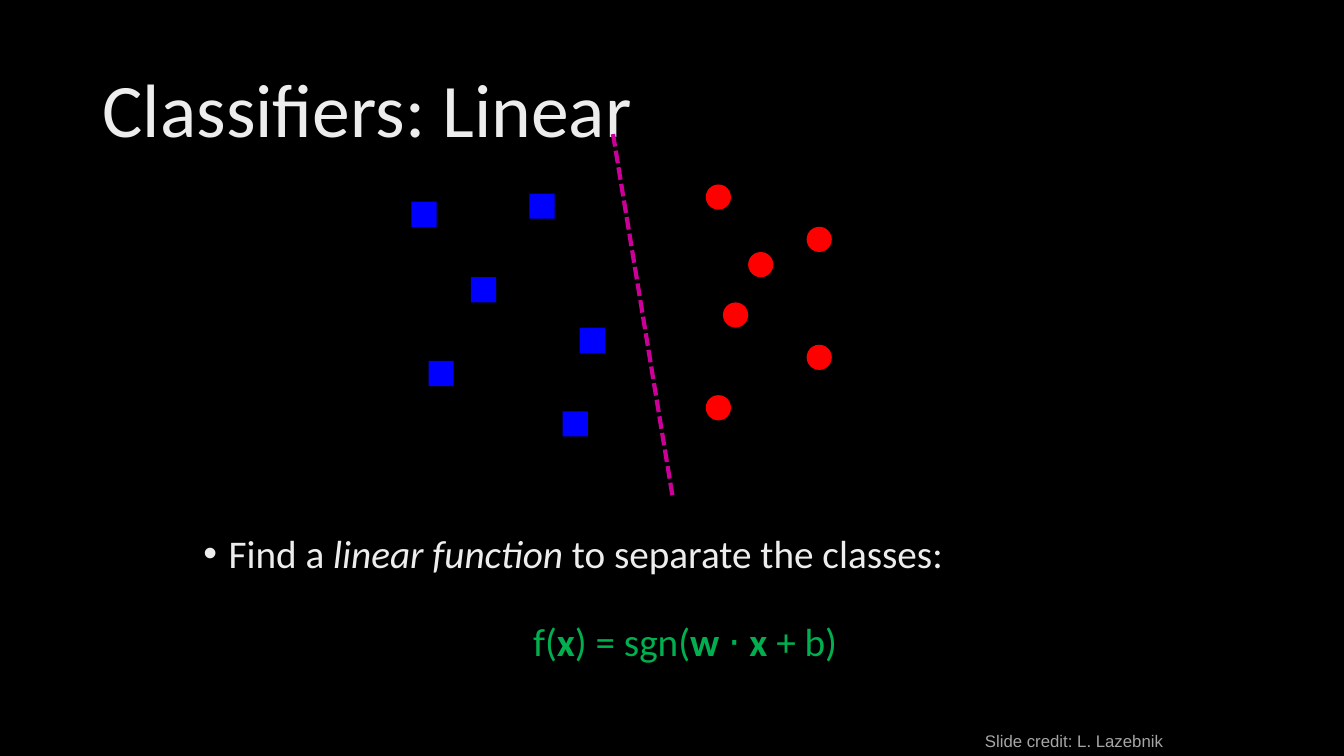
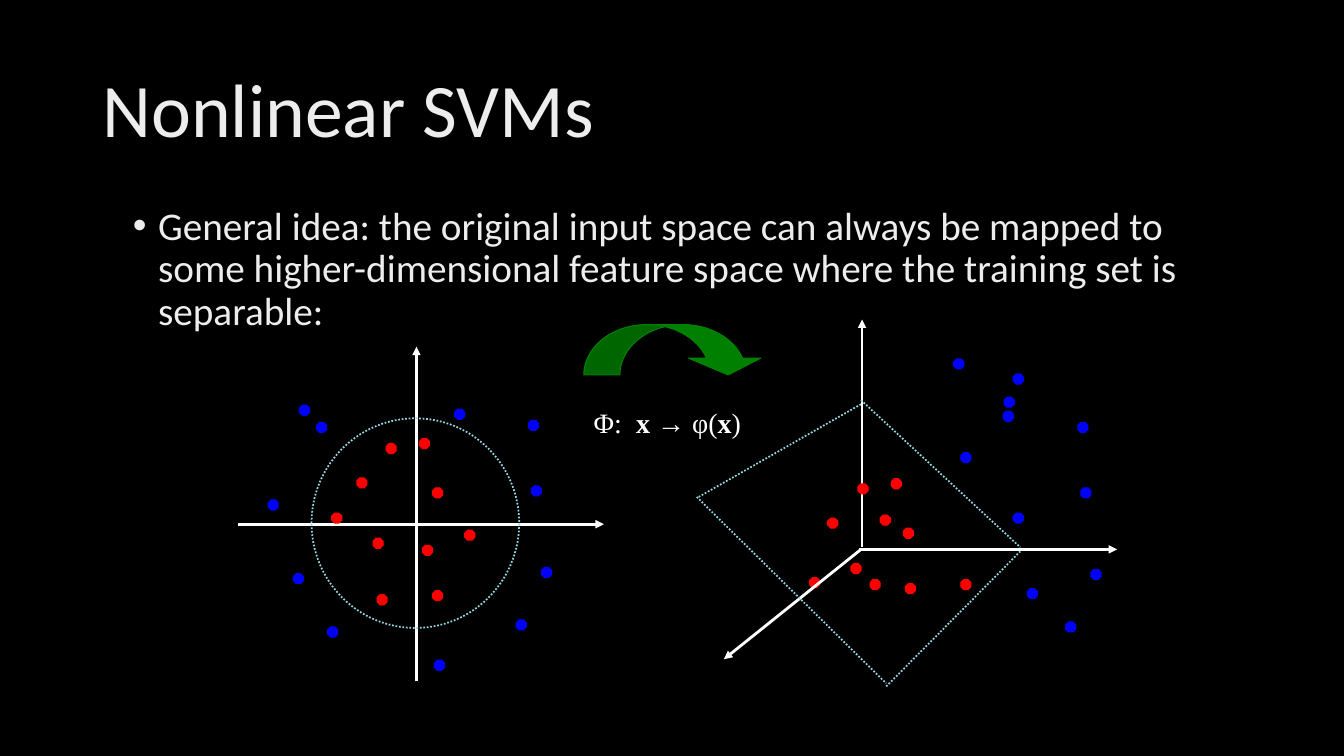
from lxml.etree import SubElement
from pptx import Presentation
from pptx.dml.color import RGBColor
from pptx.enum.dml import MSO_LINE as DASH
from pptx.enum.shapes import MSO_CONNECTOR, MSO_SHAPE as SHAPE
from pptx.enum.text import MSO_ANCHOR as ANCHOR, MSO_AUTO_SIZE as FIT, PP_ALIGN as ALIGN
from pptx.oxml.ns import qn
from pptx.util import Pt

PX = 9144  # EMU per px, 100 px to the inch
COLORS = {
    "background": "000000", "text": "EDEDED", "white": "FFFFFF",
    "blue": "0000FF", "red": "FF0000", "formula": "00B050",
    "separator": "CC0099", "boundary": "94D7E4", "arrow": "008000",
    "credit": "A6A6A6",
}


def rgb(name):
    return RGBColor.from_string(COLORS[name])


class Deck:
    """Holds the shared style and the current slide."""

    def __init__(self):
        self.prs = Presentation()
        self.prs.slide_width, self.prs.slide_height = 1333 * PX, 750 * PX
        fill = self.prs.slide_master.background.fill
        fill.solid()
        fill.fore_color.rgb = rgb("background")
        self.s = None

    def slide(self):
        self.s = self.prs.slides.add_slide(self.prs.slide_layouts[6])

    def runs(self, p, parts, size, color="text", font="Calibri"):
        """Add runs given as (text, style), where style holds b and/or i."""
        for text, style in parts:
            r = p.add_run()
            r.text = text
            r.font.name, r.font.size = font, Pt(size)
            r.font.bold, r.font.italic = "b" in style, "i" in style
            r.font.color.rgb = rgb(color)

    def text(self, box, parts, size, color="text", font="Calibri", wrap=True):
        sp = self.s.shapes.add_textbox(*[v * PX for v in box])
        tf = sp.text_frame
        tf.word_wrap = wrap
        self.runs(tf.paragraphs[0], parts, size, color, font)
        return tf

    def title(self, text):
        tf = self.text((92, 40, 1150, 145), [(text, "")], 54)
        tf.vertical_anchor = ANCHOR.MIDDLE
        tf.paragraphs[0].line_spacing = 0.9

    def bullet(self, box, parts):
        tf = self.text(box, parts, 28)
        p = tf.paragraphs[0]
        p.line_spacing, p.space_before = 0.9, Pt(10)
        pPr = p._p.get_or_add_pPr()
        pPr.set("marL", str(25 * PX))
        pPr.set("indent", str(-25 * PX))
        SubElement(pPr, qn("a:buFont")).set("typeface", "Arial")
        SubElement(pPr, qn("a:buChar")).set("char", "•")
        return tf

    def formula(self, tf, parts):
        p = tf.add_paragraph()
        p.alignment = ALIGN.CENTER
        p.line_spacing, p.space_before = 0.9, Pt(33)
        p._p.get_or_add_pPr().set("marL", str(25 * PX))
        self.runs(p, parts, 28, "formula")

    def shape(self, kind, box, fill=None, line=None, width=0.75, dash=None):
        sp = self.s.shapes.add_shape(kind, *[v * PX for v in box])
        sp.shadow.inherit = False
        for part, color in ((sp.fill, fill), (sp.line.fill, line)):
            if color:
                part.solid()
                part.fore_color.rgb = rgb(color)
            else:
                part.background()
        if line:
            sp.line.width = Pt(width)
            sp.line.dash_style = dash
        return sp

    def points(self, kind, size, color, places, line=None):
        for x, y in places:
            self.shape(kind, (x, y, size, size), color, line)

    def dots(self, color, places):
        self.points(SHAPE.OCTAGON, 10, color, places, color)

    def line(self, start, end, color, width, dash=None, arrow=False):
        c = self.s.shapes.add_connector(
            MSO_CONNECTOR.STRAIGHT, *[v * PX for v in start + end])
        c.line.color.rgb = rgb(color)
        c.line.width = Pt(width)
        c.line.dash_style = dash
        spPr = c.element.spPr
        if arrow:
            SubElement(spPr.find(qn("a:ln")), qn("a:tailEnd")).set("type", "triangle")
        SubElement(spPr, qn("a:effectLst"))

    def axis(self, start, end):
        self.line(start, end, "white", 2, arrow=True)


def linear_slide(d):
    d.slide()
    d.title("Classifiers: Linear")
    tf = d.bullet((192, 525, 950, 145), [
        ("Find a ", ""), ("linear function ", "i"), ("to separate the classes:", "")])
    d.formula(tf, [("f(", ""), ("x", "b"), (") = sgn(", ""), ("w ", "b"),
                   ("⋅ ", ""), ("x ", "b"), ("+ b)", "")])

    # Two classes and the line between them
    d.points(SHAPE.RECTANGLE, 25, "blue", [
        (408, 200), (467, 275), (525, 192), (425, 358), (575, 325), (558, 408)])
    d.points(SHAPE.OVAL, 25, "red", [
        (800, 225), (717, 300), (800, 342), (700, 183), (742, 250), (700, 392)])
    d.line((608, 133), (667, 492), "separator", 3, DASH.SQUARE_DOT)

    tf = d.text((967, 720, 198, 30), [("Slide credit: L. Lazebnik", "")],
                12, "credit", "Arial", wrap=False)
    tf.auto_size = FIT.SHAPE_TO_FIT_TEXT


def nonlinear_slide(d):
    d.slide()

    # Input space
    d.axis((413, 676), (413, 344))
    d.axis((236, 520), (599, 520))
    d.dots("red", [
        (416, 435), (354, 474), (370, 534), (429, 586), (383, 440),
        (329, 509), (374, 590), (429, 484), (461, 526), (419, 541)])
    d.dots("blue", [
        (527, 482), (512, 615), (266, 496), (431, 655), (537, 563), (325, 622),
        (291, 569), (297, 402), (451, 406), (314, 419), (524, 417)])
    d.shape(SHAPE.OVAL, (309, 415, 206, 208), line="boundary", width=1.25,
            dash=DASH.ROUND_DOT)

    # Feature space
    d.axis((855, 543), (855, 317))
    d.axis((852, 545), (1108, 545))
    d.dots("red", [
        (884, 475), (821, 514), (863, 575), (953, 575), (851, 480),
        (873, 511), (898, 579), (896, 524), (844, 559), (803, 573)])
    d.dots("blue", [
        (1072, 484), (1057, 617), (1005, 371), (1005, 509), (1082, 565),
        (953, 449), (1019, 584), (996, 394), (995, 408), (946, 356), (1069, 419)])
    d.axis((854, 545), (718, 654))
    for start, end in (((854, 397), (1012, 543)), ((879, 681), (1012, 547)),
                       ((693, 493), (854, 401)), ((691, 493), (879, 678))):
        d.line(start, end, "boundary", 1.25, DASH.ROUND_DOT)

    # Mapping between the spaces
    sp = d.shape(SHAPE.CURVED_DOWN_ARROW, (579, 322, 179, 50), "arrow", "arrow")
    for i, value in enumerate((0.717, 1.433, 0.333)):
        sp.adjustments[i] = round(value, 3)
    d.text((579, 397, 208, 43), [
        ("Φ:  ", ""), ("x → ", "b"), ("φ(", ""), ("x", "b"), (")", "")],
        20, "white", "Times New Roman")

    d.title("Nonlinear SVMs")
    d.bullet((122, 200, 1119, 476), [(
        "General idea: the original input space can always be mapped to some "
        "higher-dimensional feature space where the training set is separable:", "")])


def main():
    d = Deck()
    linear_slide(d)
    nonlinear_slide(d)
    d.prs.save("out.pptx")


if __name__ == "__main__":
    main()
